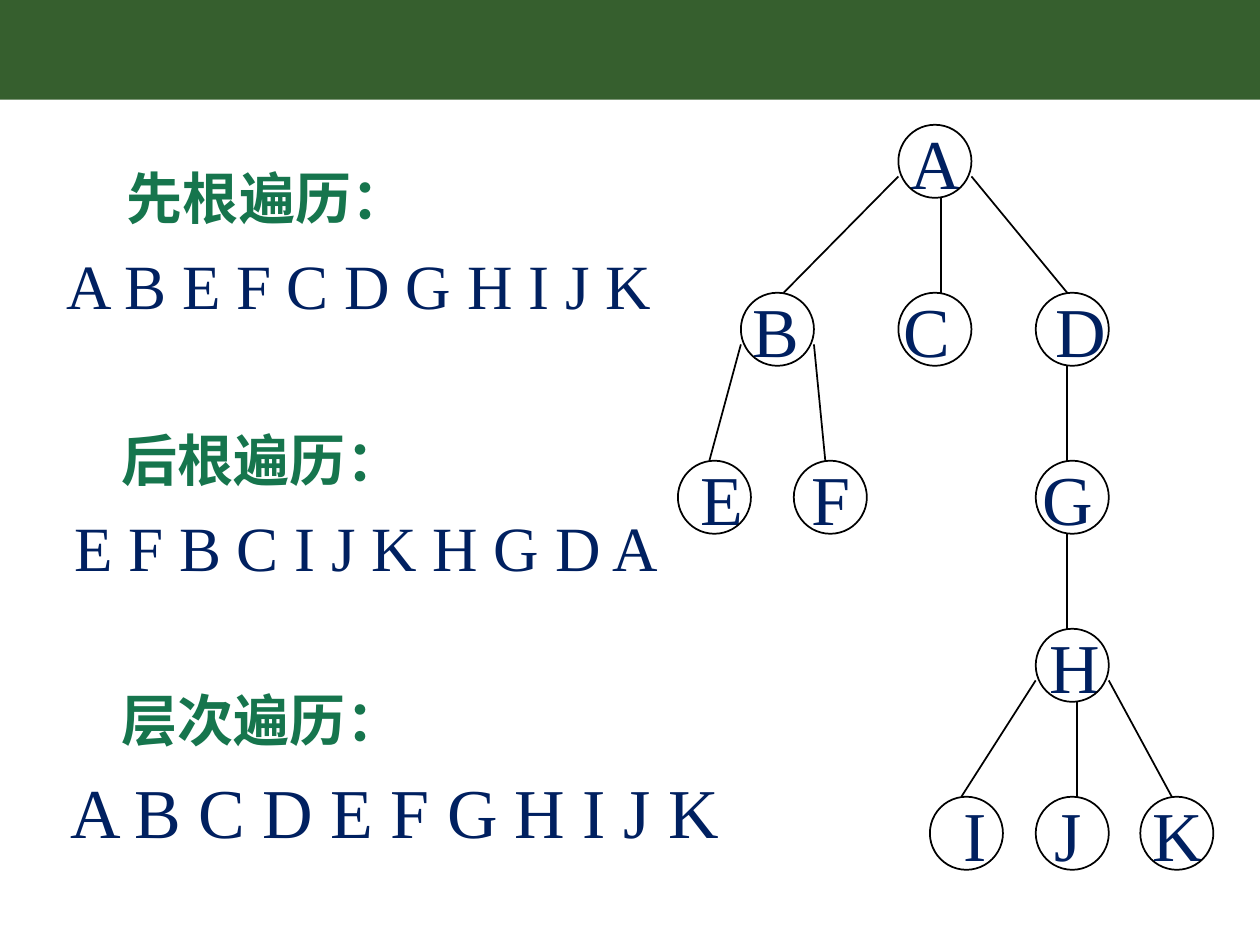
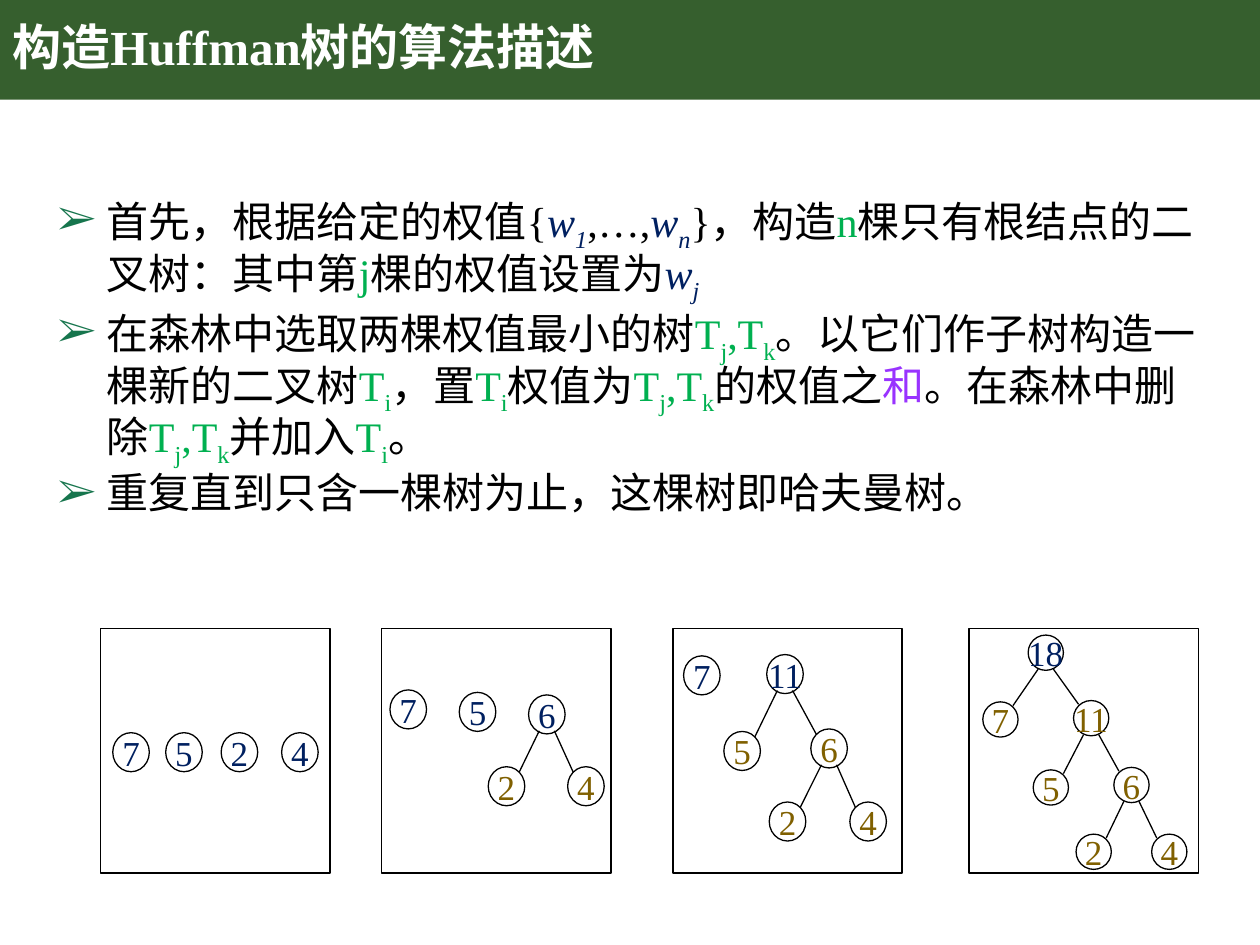
from lxml import etree
from pptx import Presentation
from pptx.dml.color import RGBColor
from pptx.enum.shapes import MSO_CONNECTOR, MSO_SHAPE
from pptx.enum.text import MSO_ANCHOR, PP_ALIGN
from pptx.oxml.ns import qn
from pptx.util import Inches, Pt

FONT = "Times New Roman"
COLORS = {
    "band": "365F2E",
    "heading": "16754D",
    "navy": "002060",
    "brown": "806000",
    "green": "00B050",
    "purple": "9933FF",
    "black": "000000",
    "white": "FFFFFF",
}
TITLE_LAYOUT, BLANK_LAYOUT = 5, 6
BAND_HEIGHT = 0.79

# Traversal tree: name -> (centre x, level, centre x of its letter)
TREE_NODES = {
    "A": (7.42, 0, 7.43),
    "B": (6.17, 1, 6.16), "C": (7.42, 1, 7.36), "D": (8.51, 1, 8.58),
    "E": (5.67, 2, 5.73), "F": (6.59, 2, 6.60), "G": (8.51, 2, 8.48),
    "H": (8.51, 3, 8.53),
    "I": (7.67, 4, 7.74), "J": (8.51, 4, 8.48), "K": (9.34, 4, 9.35),
}
# parent, child, shift of the line from the child's centre
TREE_EDGES = [
    ("A", "B", 0.05), ("A", "C", 0.05), ("A", "D", -0.04),
    ("B", "E", -0.04), ("B", "F", -0.04), ("D", "G", -0.04), ("G", "H", -0.04),
    ("H", "I", -0.04), ("H", "J", 0.04), ("H", "K", -0.04),
]
TREE_TOP, LEVEL_GAP, TREE_SIZE = 1.28, 4 / 3, 0.58

TRAVERSALS = [
    # heading, heading left, top, order, order left, size
    ("先根遍历：", 0.91, 1.25, "A B E F C D G H I J K", 0.43, 36),
    ("后根遍历：", 0.87, 3.33, "E F B C I J K H G D A", 0.49, 36),
    ("层次遍历：", 0.87, 5.39, "A B C D E F G H I J K", 0.46, 40),
]

# Forest steps: frame left, node size, roots, inner nodes and leaves (centres), edges
STEPS = [
    (0.8, (0.29, 0.31),
     {"7": (1.04, 5.97), "5": (1.46, 5.97), "2": (1.9, 5.97), "4": (2.38, 5.97)},
     {}, []),
    (3.03, (0.29, 0.31),
     {"7": (3.24, 5.63), "5": (3.79, 5.65), "6": (4.34, 5.67)},
     {"2": (4.02, 6.24), "4": (4.65, 6.24)},
     ["6 2", "6 4"]),
    (5.34, (0.29, 0.31),
     {"7": (5.57, 5.36), "11": (6.23, 5.35)},
     {"5": (5.89, 5.96), "6": (6.58, 5.94), "2": (6.25, 6.52), "4": (6.89, 6.52)},
     ["11 5", "11 6", "6 2", "6 4"]),
    (7.69, (0.28, 0.28),
     {"18": (8.3, 5.18)},
     {"7": (7.94, 5.71), "11": (8.66, 5.7), "5": (8.34, 6.25), "6": (8.98, 6.23),
      "2": (8.68, 6.76), "4": (9.28, 6.76)},
     ["18 7", "18 11", "11 5", "11 6", "6 2", "6 4"]),
]


def tree_name(index):
    return [("T", "green"), (index, "green sub")]


TREE_PAIR = tree_name("j") + [(",", "green")] + tree_name("k")
ALGORITHM = [
    [("首先，根据给定的权值{", "black"), ("w", "navy italic"), ("1", "navy italic sub"),
     (",…,", "black"), ("w", "navy italic"), ("n", "navy italic sub"),
     ("}，构造", "black"), ("n", "green"), ("棵只有根结点的二叉树：其中第", "black"),
     ("j", "green"), ("棵的权值设置为", "black"), ("w", "navy italic"),
     ("j", "navy italic sub")],
    [("在森林中选取两棵权值最小的树", "black"), *TREE_PAIR,
     ("。以它们作子树构造一棵新的二叉树", "black"), *tree_name("i"),
     ("，置", "black"), *tree_name("i"), ("权值为", "black"), *TREE_PAIR,
     ("的权值之", "black"), ("和", "purple"), ("。在森林中删除", "black"), *TREE_PAIR,
     ("并加入", "black"), *tree_name("i"), ("。", "black")],
    [("重复直到只含一棵树为止，这棵树即哈夫曼树。", "black")],
]


def rgb(name):
    return RGBColor.from_string(COLORS[name])


def set_font(font, size, color=None, bold=None):
    font.name, font.size, font.bold = FONT, Pt(size), bold
    if color:
        font.color.rgb = rgb(color)


def add_shape(page, kind, left, top, width, height, fill=None, line=None):
    """Add a flat shape; line is a width in points."""
    shape = page.shapes.add_shape(
        kind, Inches(left), Inches(top), Inches(width), Inches(height))
    shape.shadow.inherit = False
    if fill:
        shape.fill.solid()
        shape.fill.fore_color.rgb = rgb(fill)
    else:
        shape.fill.background()
    if line:
        shape.line.color.rgb = rgb("black")
        shape.line.width = Pt(line)
    else:
        shape.line.fill.background()
    return shape


def add_circle(page, center, size, line):
    (x, y), (width, height) = center, size
    return add_shape(page, MSO_SHAPE.OVAL, x - width / 2, y - height / 2,
                     width, height, line=line)


def add_line(page, start, end, width):
    line = page.shapes.add_connector(
        MSO_CONNECTOR.STRAIGHT, *(Inches(value) for value in (*start, *end)))
    line.line.color.rgb = rgb("black")
    line.line.width = Pt(width)
    etree.SubElement(line.element.spPr, qn("a:effectLst"))


def add_box(page, left, top, width, height):
    box = page.shapes.add_textbox(
        Inches(left), Inches(top), Inches(width), Inches(height))
    box.text_frame.word_wrap = True
    return box.text_frame


def add_text(page, text, left, top, width, height, size, color, bold=None):
    para = add_box(page, left, top, width, height).paragraphs[0]
    para.text = text
    set_font(para.font, size, color, bold)


def next_para(frame, index):
    return frame.add_paragraph() if index else frame.paragraphs[0]


def add_page(deck, layout):
    """Add a slide with the green band behind everything else."""
    page = deck.slides.add_slide(deck.slide_layouts[layout])
    band = add_shape(page, MSO_SHAPE.RECTANGLE, 0, 0, 10, BAND_HEIGHT, fill="band")
    page.shapes.element.insert(2, band.element)
    return page


def set_title(page, text):
    title = page.shapes.title
    title.left, title.top = Inches(0), Inches(0)
    title.width, title.height = Inches(8.62), Inches(BAND_HEIGHT)
    title.text_frame.vertical_anchor = MSO_ANCHOR.MIDDLE
    para = title.text_frame.paragraphs[0]
    para.text = text
    para.alignment = PP_ALIGN.LEFT
    para.line_spacing = 0.9
    set_font(para.font, 28, "white", True)


def add_tree_letters(page):
    """Write one line of letters per level, each letter on a centred tab stop."""
    left, inset = 5.4, 0.1
    frame = add_box(page, left, 0.9, 4.4, 6.1)
    levels = sorted({level for _, level, _ in TREE_NODES.values()})
    for index in levels:
        letters = {name: x for name, (_, level, x) in TREE_NODES.items() if level == index}
        para = next_para(frame, index)
        para.text = "".join("\t" + name for name in letters)
        if index:
            para.space_before = Pt(48)
        tabs = etree.SubElement(para._p.get_or_add_pPr(), qn("a:tabLst"))
        for x in letters.values():
            etree.SubElement(tabs, qn("a:tab"), pos=str(Inches(x - left - inset)), algn="ctr")
        set_font(para.font, 40, "navy")


def add_traversal_tree(page):
    add_tree_letters(page)
    centers = {name: (x, TREE_TOP + level * LEVEL_GAP)
               for name, (x, level, _) in TREE_NODES.items()}
    for center in centers.values():
        add_circle(page, center, (TREE_SIZE, TREE_SIZE), 1)
    radius = TREE_SIZE / 2
    for parent, child, shift in TREE_EDGES:
        (px, py), (cx, cy) = centers[parent], centers[child]
        end = (cx + shift, cy - radius)
        if px == cx:
            start = (end[0], py + radius)
        else:
            start = (px + (radius if cx > px else -radius), py + 0.12)
        add_line(page, start, end, 1)


def add_algorithm(page):
    frame = add_box(page, 0, 1.51, 9.71, 2.75)
    for index, pieces in enumerate(ALGORITHM):
        para = next_para(frame, index)
        para.line_spacing = 0.9
        if index:
            para.space_before = Pt(5)
        props = para._p.get_or_add_pPr()
        props.set("marL", str(Inches(0.75)))
        props.set("indent", str(Inches(-0.39)))
        bullet_color = etree.SubElement(props, qn("a:buClr"))
        etree.SubElement(bullet_color, qn("a:srgbClr"), val=COLORS["heading"])
        etree.SubElement(props, qn("a:buFont"), typeface=FONT)
        etree.SubElement(props, qn("a:buChar"), char="➢")
        set_font(para.font, 24)
        for text, style in pieces:
            color, *marks = style.split()
            span = para.add_run()
            span.text = text
            span.font.color.rgb = rgb(color)
            if "italic" in marks:
                span.font.italic = True
            if "sub" in marks:
                span._r.get_or_add_rPr().set("baseline", "-25000")


def add_weight(page, text, center, size, color):
    frame = add_circle(page, center, size, 0.75).text_frame
    frame.margin_left = frame.margin_right = frame.margin_top = frame.margin_bottom = 0
    frame.word_wrap = False
    frame.vertical_anchor = MSO_ANCHOR.MIDDLE
    para = frame.paragraphs[0]
    para.text = text
    para.alignment = PP_ALIGN.CENTER
    set_font(para.font, 20, color)


def add_step(page, left, size, roots, others, edges):
    """Draw one framed state of the forest."""
    add_shape(page, MSO_SHAPE.RECTANGLE, left, 4.99, 1.82, 1.94, line=0.75)
    for nodes, color in ((roots, "navy"), (others, "brown")):
        for weight, center in nodes.items():
            add_weight(page, weight, center, size, color)
    centers = {**roots, **others}
    for edge in edges:
        (px, py), (cx, cy) = (centers[name] for name in edge.split())
        side = 1 if cx > px else -1
        add_line(page, (px + side * 0.06, py + 0.13), (cx - side * 0.1, cy - 0.11), 0.75)


def main():
    deck = Presentation()
    deck.slide_width, deck.slide_height = Inches(10), Inches(7.5)

    page = add_page(deck, BLANK_LAYOUT)
    add_traversal_tree(page)
    for heading, heading_left, top, order, order_left, size in TRAVERSALS:
        add_text(page, heading, heading_left, top, 2.7, 0.64, 32, "heading", True)
        add_text(page, order, order_left, top + 0.66, 5.6, 0.74, size, "navy")

    page = add_page(deck, TITLE_LAYOUT)
    set_title(page, "构造Huffman树的算法描述")
    add_algorithm(page)
    for step in STEPS:
        add_step(page, *step)

    deck.save("out.pptx")


if __name__ == "__main__":
    main()
